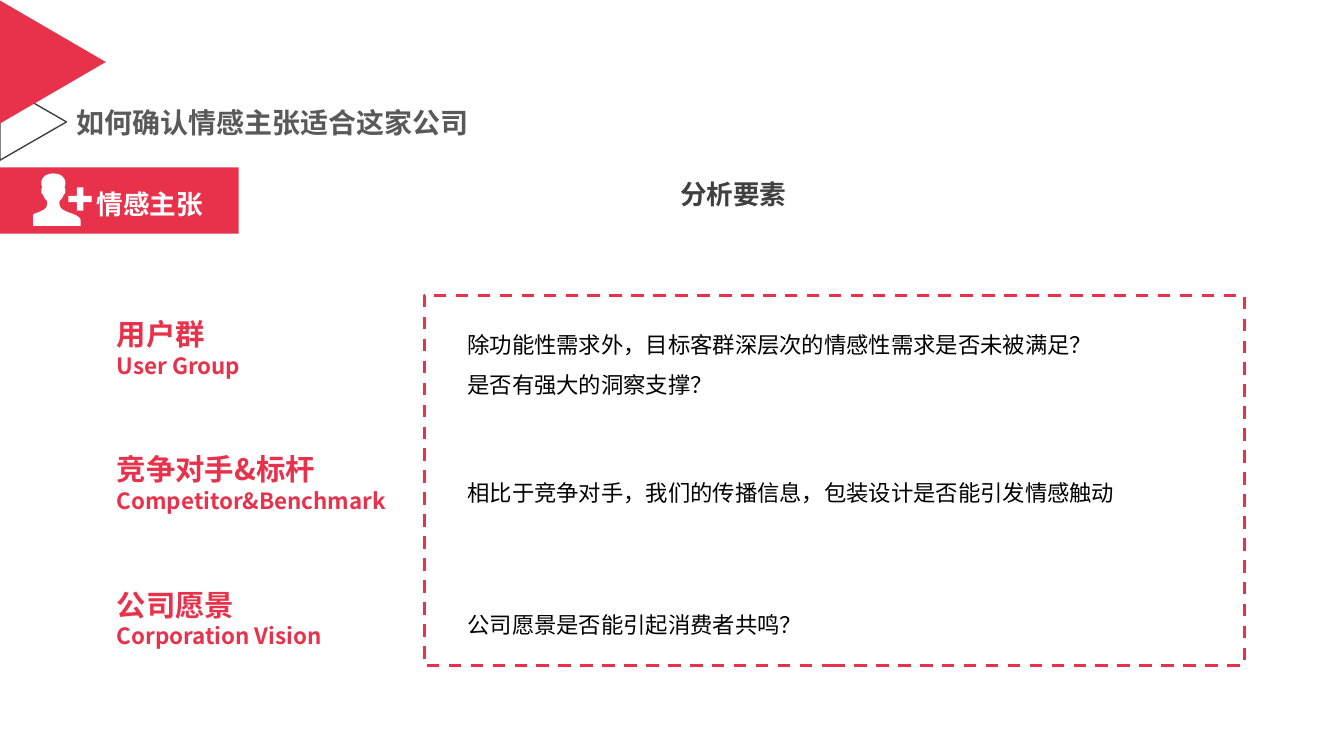
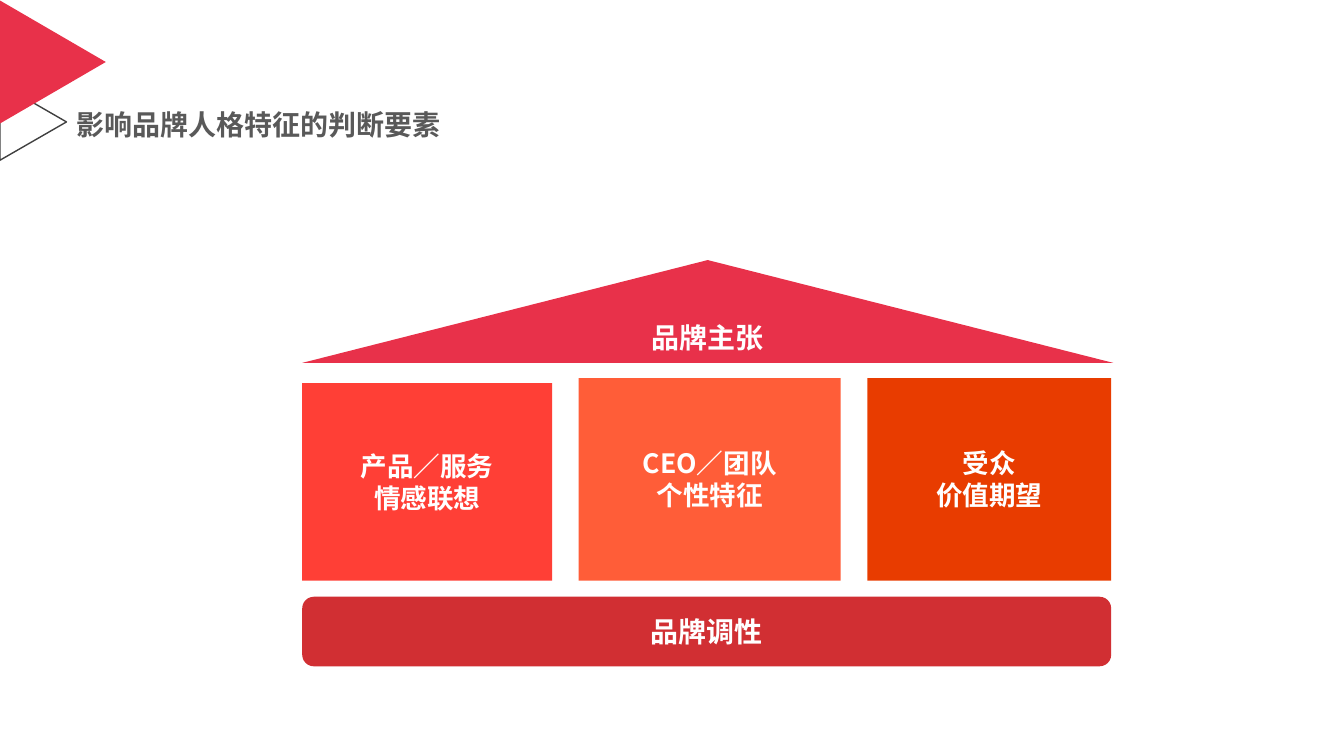
import pptx
import pptx.dml.color
import pptx.enum.dml
import pptx.enum.shapes
import pptx.enum.text
import pptx.oxml.ns
import pptx.util
from lxml import etree

SHAPES = pptx.enum.shapes.MSO_SHAPE
ALIGN = pptx.enum.text.PP_ALIGN
ANCHOR = pptx.enum.text.MSO_ANCHOR
CELL = 0.1  # side of a square grid cell, in inches
COLUMNS, ROWS = 133.4, 75
FONT = "Noto Sans CJK SC"
COLORS = {
    "brand": "E8314A", "white": "FFFFFF", "black": "000000",
    "title": "595959", "dark": "404040", "base": "D12F33",
    "product": "FF3F36", "team": "FF5D38", "audience": "E83C00",
}
INSETS = {
    "title": (0.05, 0.05), "text": (0.13, 0.07), "shape": (0.1, 0.05),
}
PERSON_TOP = (0, 0)
PERSON_CURVES = [  # right half: two controls and an end, in cells from the crown
    ((1, 0), (1.2, 0.7), (1.2, 0.9)),
    ((1.2, 1.2), (1.1, 1.4), (1.1, 1.4)),
    ((1.1, 1.4), (1.2, 1.5), (1.2, 1.7)),
    ((1.2, 2.2), (1, 2), (1, 2.2)),
    ((0.8, 2.7), (0.6, 2.6), (0.6, 2.9)),
    ((0.6, 3.4), (0.8, 3.6), (1.6, 3.9)),
    ((2.3, 4.1), (2.7, 4.4), (2.7, 4.6)),
    ((2.7, 4.8), (2.7, 5.2), (2.7, 5.2)),
]


def grid(cells):
    return pptx.util.Inches(cells * CELL)


def rgb(name):
    return pptx.dml.color.RGBColor.from_string(COLORS[name])


def curve_points(start, curves, steps=6):
    """Sample a chain of cubic curves."""
    points = [start]
    for first, second, end in curves:
        origin = points[-1]
        for step in range(1, steps + 1):
            t = step / steps
            weights = ((1 - t) ** 3, 3 * t * (1 - t) ** 2,
                       3 * t * t * (1 - t), t ** 3)
            points.append(tuple(
                sum(weight * value for weight, value in zip(weights, axis))
                for axis in zip(origin, first, second, end)))
    return points


class Deck:
    """Shared style plus the slide being filled; boxes are in grid cells."""

    def __init__(self):
        self.presentation = pptx.Presentation()
        self.presentation.slide_width = grid(COLUMNS)
        self.presentation.slide_height = grid(ROWS)
        self.slide = None

    def start(self, title, width, line_spacing=1.0):
        layout = self.presentation.slide_layouts[6]
        self.slide = self.presentation.slides.add_slide(layout)
        self.pointer((0, 8.3, 6.6, 7.6), line="dark", weight=1)
        self.pointer((0, 0.05, 10.5, 12.2), fill="brand")
        self.text((7.1, 10.1, width, 4.4), [(title, 20)], "title",
                  insets="title", anchor=ANCHOR.MIDDLE, bold=True,
                  wrap=False, line_spacing=line_spacing)

    def paint(self, shape, fill=None, line=None, weight=1, dash=None):
        shape.shadow.inherit = False
        if fill:
            shape.fill.solid()
            shape.fill.fore_color.rgb = rgb(fill)
        else:
            shape.fill.background()
        if line:
            shape.line.color.rgb = rgb(line)
            shape.line.width = pptx.util.Pt(weight)
            shape.line.dash_style = dash
        else:
            shape.line.fill.background()

    def shape(self, kind, box, **paint):
        shape = self.slide.shapes.add_shape(kind, *map(grid, box))
        self.paint(shape, **paint)
        return shape

    def pointer(self, box, **paint):
        """Draw a triangle pointing right that fills the box."""
        left, top, width, height = box
        unturned = (left + (width - height) / 2, top + (height - width) / 2,
                    height, width)
        self.shape(SHAPES.ISOSCELES_TRIANGLE, unturned, **paint).rotation = 90

    def block(self, kind, box, fill, size, lines):
        """Draw a filled shape with centred white lines."""
        shape = self.shape(kind, box, fill=fill)
        self.fill_text(shape, [(line, size) for line in lines], "white",
                       insets="shape", anchor=ANCHOR.MIDDLE, bold=True,
                       alignment=ALIGN.CENTER)

    def text(self, box, lines, color, **formats):
        self.fill_text(self.slide.shapes.add_textbox(*map(grid, box)),
                       lines, color, **formats)

    def fill_text(self, shape, lines, color, insets="text", anchor=ANCHOR.TOP,
                  wrap=True, bold=False, font=FONT, alignment=ALIGN.LEFT,
                  line_spacing=1.0):
        """Fill a shape with (text, point size) paragraphs."""
        across, down = map(pptx.util.Inches, INSETS[insets])
        frame = shape.text_frame
        frame_format = {
            "word_wrap": wrap, "vertical_anchor": anchor,
            "margin_left": across, "margin_right": across,
            "margin_top": down, "margin_bottom": down,
        }
        for name, value in frame_format.items():
            setattr(frame, name, value)
        for index, (content, size) in enumerate(lines):
            paragraph = frame.add_paragraph() if index else frame.paragraphs[0]
            paragraph.alignment = alignment
            paragraph.line_spacing = line_spacing
            run = paragraph.add_run()
            run.text = content
            run_format = {"size": pptx.util.Pt(size), "bold": bold, "name": font}
            for name, value in run_format.items():
                setattr(run.font, name, value)
            run.font.color.rgb = rgb(color)
            east_asian = etree.SubElement(
                run._r.get_or_add_rPr(), pptx.oxml.ns.qn("a:ea"))
            east_asian.set("typeface", FONT)

    def person_plus(self, center, top):
        """Draw a white bust with a plus sign beside it."""
        right = curve_points(PERSON_TOP, PERSON_CURVES)
        left = [(max(-x, -2), y) for x, y in reversed(right[1:])]
        outline = [(grid(center + x), grid(top + y)) for x, y in right + left]
        builder = self.slide.shapes.build_freeform(*outline[0], scale=1.0)
        builder.add_line_segments(outline[1:], close=True)
        self.paint(builder.convert_to_shape(), fill="white")
        plus = self.shape(SHAPES.CROSS, (center + 1.5, top + 1.4, 2.3, 2.3),
                          fill="white")
        plus.adjustments[0] = 0.36


def emotional_claim(deck):
    deck.start("如何确认情感主张适合这家公司", 40.3, line_spacing=0.9)
    deck.shape(SHAPES.RECTANGLE, (0, 16.6, 23.7, 6.6), fill="brand")
    deck.text((8.3, 17.9, 13.4, 4.5), [("情感主张", 19)], "white",
              font="Lato", bold=True, wrap=False)
    deck.person_plus(5.3, 17.2)
    deck.text((23.7, 15.7, 98.2, 7.5), [("分析要素", 19)], "dark", bold=True,
              anchor=ANCHOR.MIDDLE, alignment=ALIGN.CENTER, line_spacing=0.9)
    deck.shape(SHAPES.RECTANGLE, (42.1, 29.3, 81.4, 36.7), line="brand",
               weight=2.25, dash=pptx.enum.dml.MSO_LINE.DASH)
    factors = [
        ("用户群", "User Group", (45.1, 30.8, 65.5, 9.4),
         ["除功能性需求外，目标客群深层次的情感性需求是否未被满足？",
          "是否有强大的洞察支撑？"]),
        ("竞争对手&标杆", "Competitor&Benchmark", (45.1, 45.5, 67.8, 5.4),
         ["相比于竞争对手，我们的传播信息，包装设计是否能引发情感触动"]),
        ("公司愿景", "Corporation Vision", (45.1, 58.6, 36.4, 5.4),
         ["公司愿景是否能引起消费者共鸣？"]),
    ]
    for row, (name, english, box, questions) in enumerate(factors):
        deck.text((10.3, 30.7 + 13.4 * row, 36.8, 7.6),
                  [(name, 21), (english, 16)], "brand", bold=True)
        deck.text(box, [(question, 16) for question in questions], "black",
                  wrap=False, line_spacing=1.5)


def brand_house(deck):
    deck.start("影响品牌人格特征的判断要素", 37.5)
    left, gap, floor = 30, 2.65, 57.6
    deck.block(SHAPES.ROUNDED_RECTANGLE, (left, 59.2, 80.3, 6.9), "base", 20,
               ["品牌调性"])
    deck.block(SHAPES.ISOSCELES_TRIANGLE, (left, 25.8, 80.5, 10.2), "brand", 20,
               ["品牌主张"])
    pillars = [
        (24.8, 19.6, "product", ["产品／服务", "情感联想"]),
        (26, 20.1, "team", ["CEO／团队", "个性特征"]),
        (24.2, 20.1, "audience", ["受众", "价值期望"]),
    ]
    for width, height, fill, lines in pillars:
        deck.block(SHAPES.RECTANGLE, (left, floor - height, width, height),
                   fill, 19, lines)
        left += width + gap


def main():
    deck = Deck()
    emotional_claim(deck)
    brand_house(deck)
    deck.presentation.save("out.pptx")


if __name__ == "__main__":
    main()
